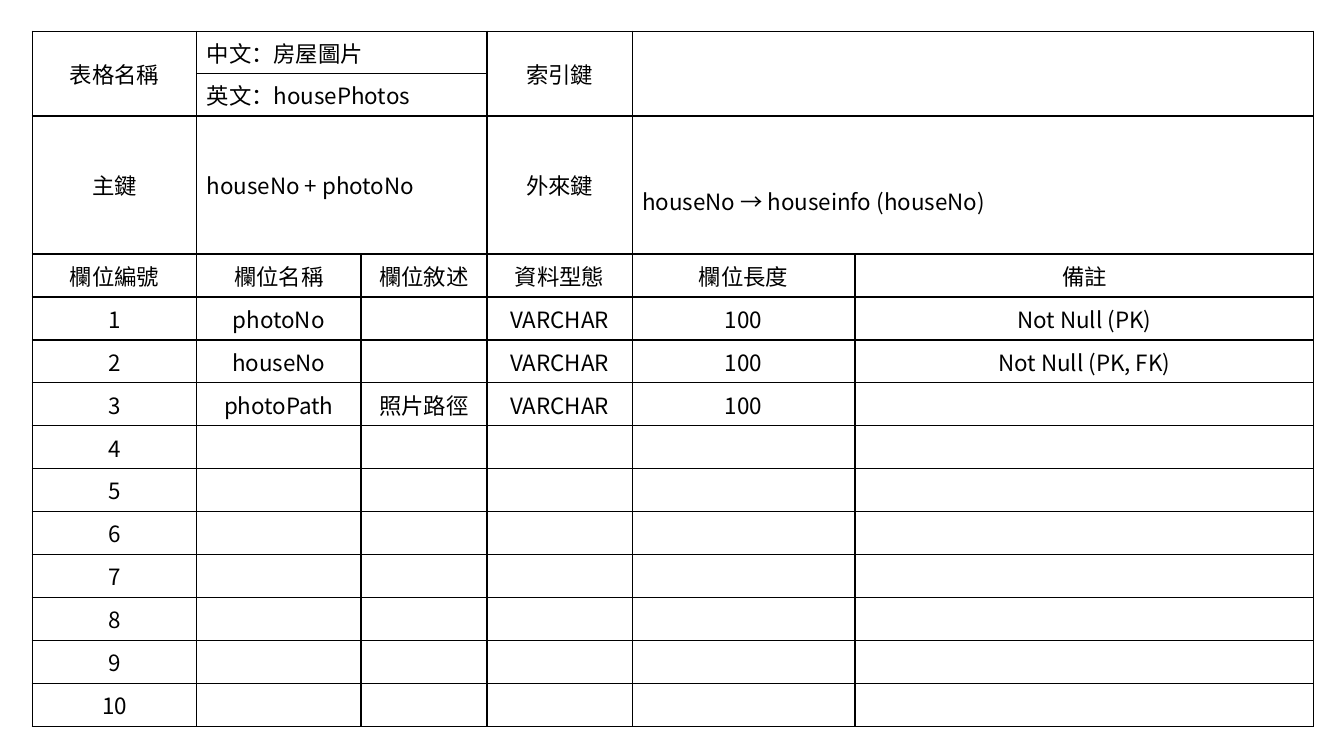
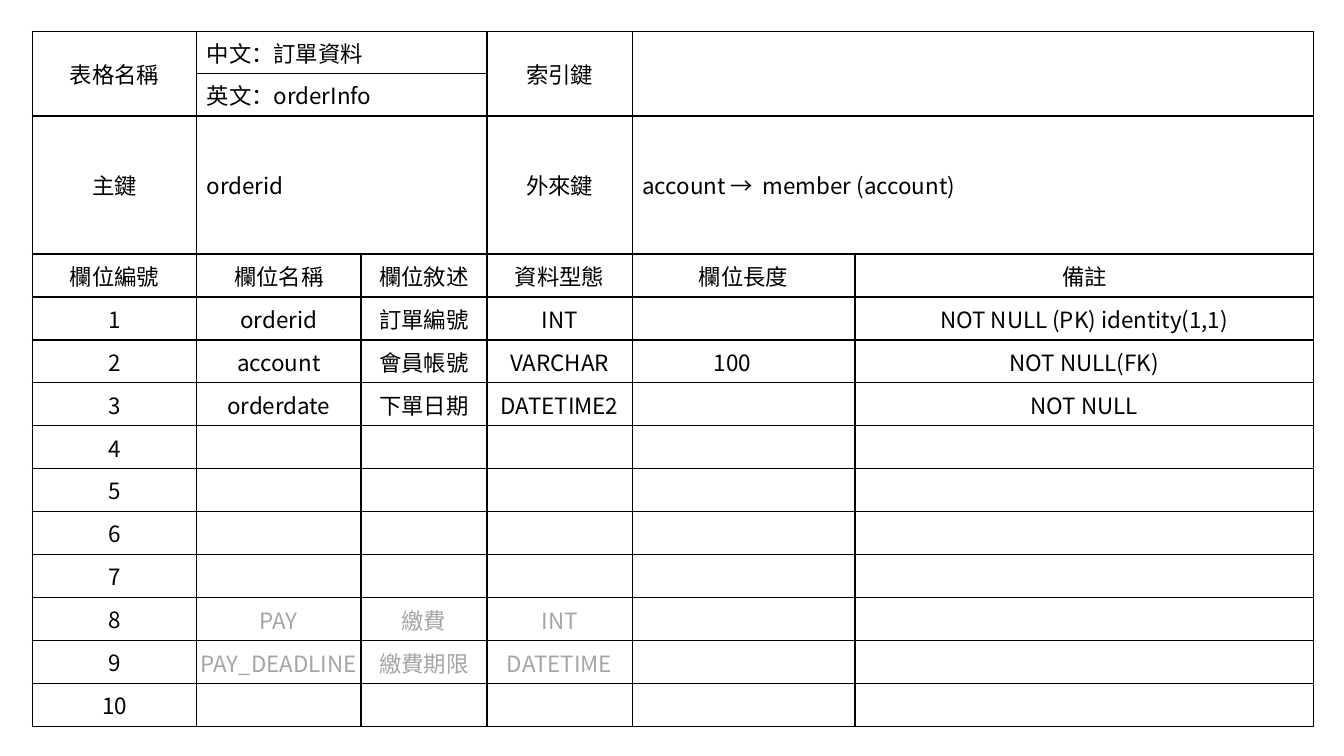
from lxml import etree
from pptx import Presentation
from pptx.dml.color import RGBColor
from pptx.enum.text import MSO_ANCHOR, PP_ALIGN
from pptx.oxml.ns import qn
from pptx.util import Inches, Pt

MIDDLE = MSO_ANCHOR.MIDDLE
LEFT, CENTER = PP_ALIGN.LEFT, PP_ALIGN.CENTER
BLACK = RGBColor(0x00, 0x00, 0x00)
WHITE = RGBColor(0xFF, 0xFF, 0xFF)
GRAY = RGBColor(0xA5, 0xA5, 0xA5)
FONT = "Noto Sans CJK TC"

# Table grid, in inches
COLS = [1.63, 1.63, 1.25, 1.44, 2.21, 4.55]
COUNT = 10
ROWS = [0.42, 0.42, 1.37] + [4.69 / (COUNT + 1)] * (COUNT + 1)
HEAD = 3
MERGES = [(0, 0, 1, 0), (0, 1, 0, 2), (0, 3, 1, 3), (0, 4, 1, 5),
          (1, 1, 1, 2), (2, 1, 2, 2), (2, 4, 2, 5)]
FIELDS = ["欄位編號", "欄位名稱", "欄位敘述", "資料型態", "欄位長度", "備註"]

# Cell margins: left, top, right, bottom
WIDE = (0.1, 0.05, 0.1, 0.05)
TIGHT = (0.01, 0.01, 0.01, 0)
LOW = (0.1, 0.37, 0.1, 0.05)


class Deck:
    """Holds the table style and the current slide."""

    def __init__(self):
        self.prs = Presentation()
        self.prs.slide_width = Inches(13.33)
        self.prs.slide_height = Inches(7.5)
        self.slide = None

    def page(self):
        self.slide = self.prs.slides.add_slide(self.prs.slide_layouts[6])

    def grid(self):
        """Add the empty ruled table with its merged cells."""
        frame = self.slide.shapes.add_table(
            len(ROWS), len(COLS), Inches(0.32), Inches(0.31),
            Inches(sum(COLS)), Inches(sum(ROWS)))
        table = frame.table
        table.first_row = table.horz_banding = False
        for col, width in zip(table.columns, COLS):
            col.width = Inches(width)
        for row, height in zip(table.rows, ROWS):
            row.height = Inches(height)
        for cell in table.iter_cells():
            self.border(cell)
            cell.fill.solid()
            cell.fill.fore_color.rgb = WHITE
            self.pad(cell, TIGHT)
        for top, left, bottom, right in MERGES:
            table.cell(top, left).merge(table.cell(bottom, right))
        return table

    def border(self, cell):
        props = cell._tc.get_or_add_tcPr()
        for side in ("a:lnL", "a:lnR", "a:lnT", "a:lnB"):
            line = etree.SubElement(props, qn(side), w=str(Pt(1)))
            fill = etree.SubElement(line, qn("a:solidFill"))
            etree.SubElement(fill, qn("a:srgbClr"), val=str(BLACK))

    def pad(self, cell, pads):
        for side, size in zip(("left", "top", "right", "bottom"), pads):
            setattr(cell, "margin_" + side, Inches(size))

    def label(self, cell, text, align=CENTER, pads=WIDE, color=BLACK):
        self.pad(cell, pads)
        cell.vertical_anchor = MIDDLE
        para = cell.text_frame.paragraphs[0]
        para.alignment = align
        run = para.add_run()
        run.text = text
        style = {"name": FONT, "size": Pt(16), "bold": False}
        for key, value in style.items():
            setattr(run.font, key, value)
        run.font.color.rgb = color
        etree.SubElement(run._r.get_or_add_rPr(), qn("a:ea"), typeface=FONT)

    def schema(self, title, name, key, link, details, pads=WIDE):
        """Add a slide that describes one database table."""
        self.page()
        table = self.grid()

        # Names and keys
        heads = {(0, 0): "表格名稱", (0, 3): "索引鍵",
                 (2, 0): "主鍵", (2, 3): "外來鍵"}
        for spot, text in heads.items():
            self.label(table.cell(*spot), text)
        values = {(0, 1): "中文：" + title, (1, 1): "英文：" + name, (2, 1): key}
        for spot, text in values.items():
            self.label(table.cell(*spot), text, LEFT)
        self.label(table.cell(2, 4), link, LEFT, pads)

        # Field list
        for col, text in enumerate(FIELDS):
            self.label(table.cell(HEAD, col), text)
        for num in range(1, COUNT + 1):
            self.label(table.cell(HEAD + num, 0), str(num))
        for num, (color, texts) in details.items():
            for col, text in enumerate(texts, 1):
                if text:
                    self.label(table.cell(HEAD + num, col), text,
                               pads=TIGHT, color=color)


def main():
    deck = Deck()

    # House photos
    deck.schema("房屋圖片", "housePhotos", "houseNo + photoNo",
                "houseNo → houseinfo (houseNo)", {
                    1: (BLACK, ["photoNo", "", "VARCHAR", "100", "Not Null (PK)"]),
                    2: (BLACK, ["houseNo", "", "VARCHAR", "100", "Not Null (PK, FK)"]),
                    3: (BLACK, ["photoPath", "照片路徑", "VARCHAR", "100"]),
                }, LOW)

    # Orders
    deck.schema("訂單資料", "orderInfo", "orderid",
                "account →  member (account)", {
                    1: (BLACK, ["orderid", "訂單編號", "INT", "",
                                "NOT NULL (PK) identity(1,1)"]),
                    2: (BLACK, ["account", "會員帳號", "VARCHAR", "100　",
                                "NOT NULL(FK)"]),
                    3: (BLACK, ["orderdate", "下單日期", "DATETIME2", "", "NOT NULL"]),
                    8: (GRAY, ["PAY", "繳費", "INT"]),
                    9: (GRAY, ["PAY_DEADLINE", "繳費期限", "DATETIME"]),
                })

    deck.prs.save("out.pptx")


if __name__ == "__main__":
    main()
